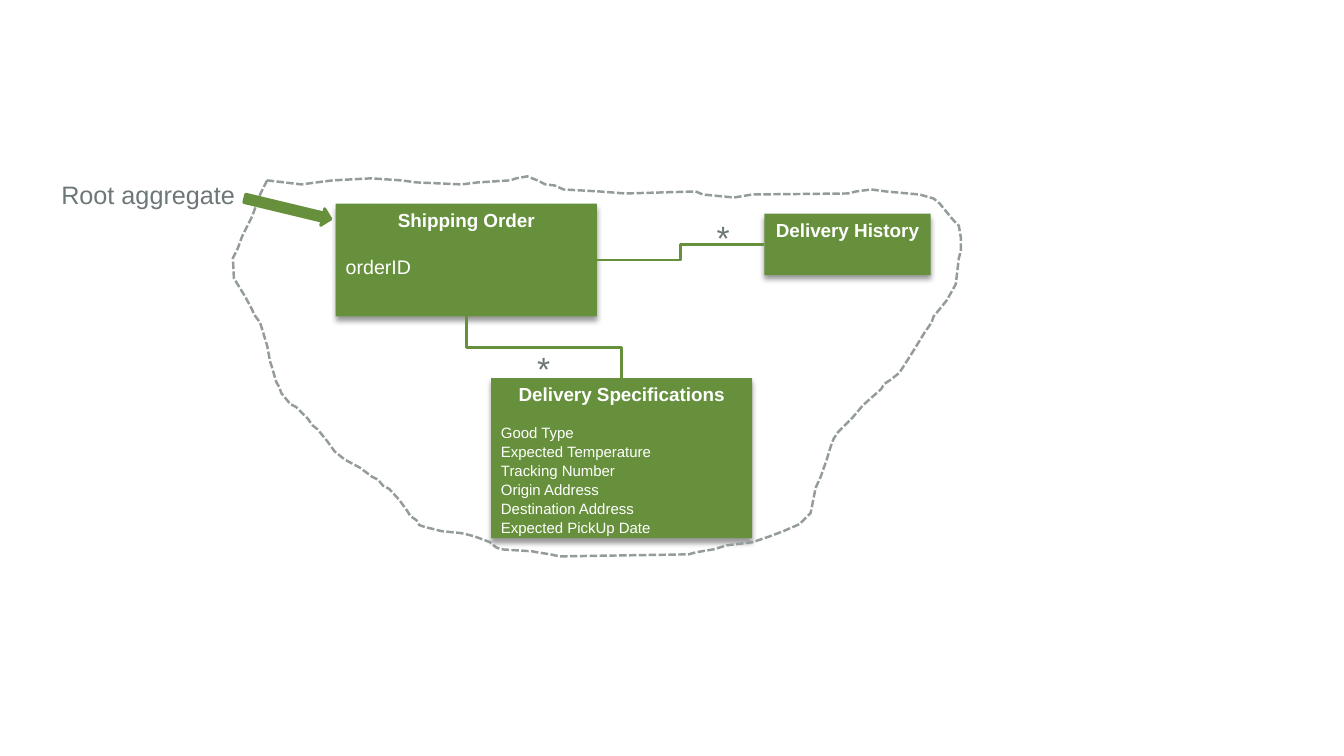
import dataclasses

import lxml.etree
import pptx
import pptx.dml.color
import pptx.enum.dml
import pptx.enum.shapes
import pptx.enum.text
import pptx.oxml.ns
import pptx.util

ROWS = 75
BOUNDARY = [
    (265, 179), (258, 193), (250, 215), (243, 229), (240, 235), (236, 246), (231, 256),
    (232, 276), (243, 294), (250, 307), (252, 312), (258, 320), (261, 330), (265, 343),
    (268, 359), (270, 365), (274, 379), (277, 384), (279, 390), (288, 401), (294, 404),
    (305, 415), (310, 422), (315, 426), (324, 437), (332, 448), (342, 456), (357, 464),
    (369, 473), (375, 476), (380, 482), (386, 485), (396, 496), (404, 507), (407, 512),
    (413, 516), (416, 521), (422, 523), (438, 527), (458, 529), (470, 532), (481, 536),
    (486, 538), (492, 543), (497, 545), (528, 547), (533, 548), (546, 550), (555, 552),
    (683, 550), (690, 548), (708, 545), (721, 541), (746, 538), (764, 532), (769, 530),
    (777, 527), (793, 520), (804, 509), (809, 484), (814, 473), (820, 456), (823, 446),
    (825, 440), (827, 435), (831, 429), (845, 415), (856, 402), (874, 386), (877, 381),
    (883, 377), (892, 370), (906, 348), (917, 330), (924, 320), (926, 314), (939, 298),
    (948, 282), (951, 256), (953, 249), (953, 236), (951, 224), (946, 219), (932, 202),
    (926, 197), (912, 193), (879, 190), (864, 188), (849, 190), (841, 192), (746, 193),
    (728, 196), (697, 193), (690, 190), (620, 192), (595, 190), (559, 188), (550, 184),
    (541, 183), (533, 179), (523, 175), (512, 177), (506, 179), (474, 181), (458, 183),
    (413, 181), (398, 179), (368, 177), (330, 179), (314, 181), (299, 183),
]
SPECIFICATIONS = [
    "Good Type", "Expected Temperature", "Tracking Number",
    "Origin Address", "Destination Address", "Expected PickUp Date",
]


@dataclasses.dataclass(frozen=True)
class Theme:
    """Colours, type sizes and line widths of the diagram."""

    font: str = "Arial"
    green: str = "66903C"
    grey: str = "6D7777"
    boundary: str = "949B9B"
    white: str = "FFFFFF"
    heading: float = 13.5
    identifier: float = 14
    detail: float = 10.7
    label: float = 18
    multiplicity: float = 24
    line: float = 2
    boundary_line: float = 1.75


def rgb(value):
    """Turn a hex string into a colour."""
    return pptx.dml.color.RGBColor.from_string(value)


def write_text(frame, text, *, font, size, color, bold=False, centred=False,
               before=0, spacing=None):
    """Write text as the next paragraph of a frame."""
    paragraph = frame.add_paragraph() if frame.text else frame.paragraphs[0]
    aligns = pptx.enum.text.PP_ALIGN
    paragraph.alignment = aligns.CENTER if centred else aligns.LEFT
    if before:
        paragraph.space_before = pptx.util.Pt(before)
    if spacing:
        paragraph.line_spacing = spacing
    run = paragraph.add_run()
    run.text = text
    run.font.name = font
    run.font.size = pptx.util.Pt(size)
    run.font.bold = bold
    run.font.color.rgb = rgb(color)


class Diagram:
    """Draws diagram elements on one slide, measured in square grid cells."""

    def __init__(self, slide, theme, cell):
        """Keep the slide, the style and the grid cell."""
        self.slide, self.theme, self.cell = slide, theme, cell

    def place(self, *cells):
        """Convert grid cells to slide lengths."""
        return [round(count * self.cell) for count in cells]

    def stroke(self, line, color, width):
        """Colour a line and set its width."""
        line.color.rgb = rgb(color)
        line.width = pptx.util.Pt(width)

    def shape(self, kind, area):
        """Add a flat green preset shape."""
        shape = self.slide.shapes.add_shape(kind, *self.place(*area))
        shape.shadow.inherit = False
        shape.fill.solid()
        shape.fill.fore_color.rgb = rgb(self.theme.green)
        shape.line.fill.background()
        return shape

    def entity(self, area, heading, fields=(), size=None, before=0):
        """Add a shadowed box with a heading and its fields."""
        theme = self.theme
        entity = self.shape(pptx.enum.shapes.MSO_SHAPE.RECTANGLE, area)
        qn = pptx.oxml.ns.qn
        effects = entity._element.spPr.find(qn("a:effectLst"))
        shadow = lxml.etree.SubElement(
            effects, qn("a:outerShdw"), blurRad=str(pptx.util.Pt(4)),
            dist=str(pptx.util.Pt(3)), dir="5400000", rotWithShape="0")
        black = lxml.etree.SubElement(shadow, qn("a:srgbClr"), val="000000")
        lxml.etree.SubElement(black, qn("a:alpha"), val="40000")
        frame = entity.text_frame
        frame.word_wrap = True
        frame.vertical_anchor = pptx.enum.text.MSO_ANCHOR.TOP
        write_text(frame, heading, font=theme.font, size=theme.heading,
                   color=theme.white, bold=True, centred=True)
        for index, field in enumerate(fields):
            write_text(frame, field, font=theme.font, size=size, color=theme.white,
                       before=0 if index else before, spacing=1.05)
        return entity

    def label(self, area, text, size):
        """Add a grey one-line label."""
        frame = self.slide.shapes.add_textbox(*self.place(*area)).text_frame
        frame.word_wrap = False
        frame.auto_size = pptx.enum.text.MSO_AUTO_SIZE.SHAPE_TO_FIT_TEXT
        write_text(frame, text, font=self.theme.font, size=size, color=self.theme.grey)

    def relation(self, source, source_site, target, target_site, vertical=False):
        """Join two entities with an elbow line."""
        relation = self.slide.shapes.add_connector(
            pptx.enum.shapes.MSO_CONNECTOR.ELBOW, 0, 0, 0, 0)
        relation.begin_connect(source, source_site)
        relation.end_connect(target, target_site)
        if vertical:
            half_x = (relation.begin_x - relation.end_x) // 2
            half_y = (relation.begin_y - relation.end_y) // 2
            middle_x, middle_y = relation.end_x + half_x, relation.end_y + half_y
            relation.begin_x, relation.begin_y = middle_x - half_y, middle_y + half_x
            relation.end_x, relation.end_y = middle_x + half_y, middle_y - half_x
            relation._element.spPr.xfrm.set("rot", "16200000")
        self.stroke(relation.line, self.theme.green, self.theme.line)
        lxml.etree.SubElement(relation._element.spPr, pptx.oxml.ns.qn("a:effectLst"))

    def boundary(self, points):
        """Add a dashed closed outline from points in tenths of a cell."""
        builder = self.slide.shapes.build_freeform(*points[0], scale=self.cell / 10)
        builder.add_line_segments(points[1:], close=True)
        outline = builder.convert_to_shape()
        outline.shadow.inherit = False
        outline.fill.background()
        self.stroke(outline.line, self.theme.boundary, self.theme.boundary_line)
        outline.line.dash_style = pptx.enum.dml.MSO_LINE.SQUARE_DOT

    def pointer(self, area, rotation):
        """Add a rotated block arrow."""
        pointer = self.shape(pptx.enum.shapes.MSO_SHAPE.DOWN_ARROW, area)
        self.stroke(pointer.line, self.theme.green, self.theme.line)
        pointer.rotation = rotation


def main():
    """Build the aggregate diagram and save it."""
    deck = pptx.Presentation()
    deck.slide_width, deck.slide_height = pptx.util.Inches(13.33), pptx.util.Inches(7.5)
    theme = Theme()
    slide = deck.slides.add_slide(deck.slide_layouts.get_by_name("Blank"))
    diagram = Diagram(slide, theme, deck.slide_height / ROWS)

    order = diagram.entity((33.3, 20.2, 25.9, 11.2), "Shipping Order",
                           ["orderID"], theme.identifier, before=16)
    diagram.label((52.3, 34, 3.3, 5), "*", theme.multiplicity)
    specifications = diagram.entity((48.7, 37.5, 25.9, 15.9), "Delivery Specifications",
                                    SPECIFICATIONS, theme.detail, before=12.5)
    diagram.relation(specifications, 0, order, 2, vertical=True)
    history = diagram.entity((75.8, 21.2, 16.5, 6.1), "Delivery History")
    diagram.relation(history, 1, order, 3)
    diagram.label((70.1, 21, 3.3, 5), "*", theme.multiplicity)
    diagram.boundary(BOUNDARY)
    diagram.label((5.1, 17.3, 19.4, 4), "Root aggregate", theme.label)
    diagram.pointer((27.7, 16.3, 1.7, 8.8), 283.5)
    deck.save("out.pptx")


if __name__ == "__main__":
    main()
